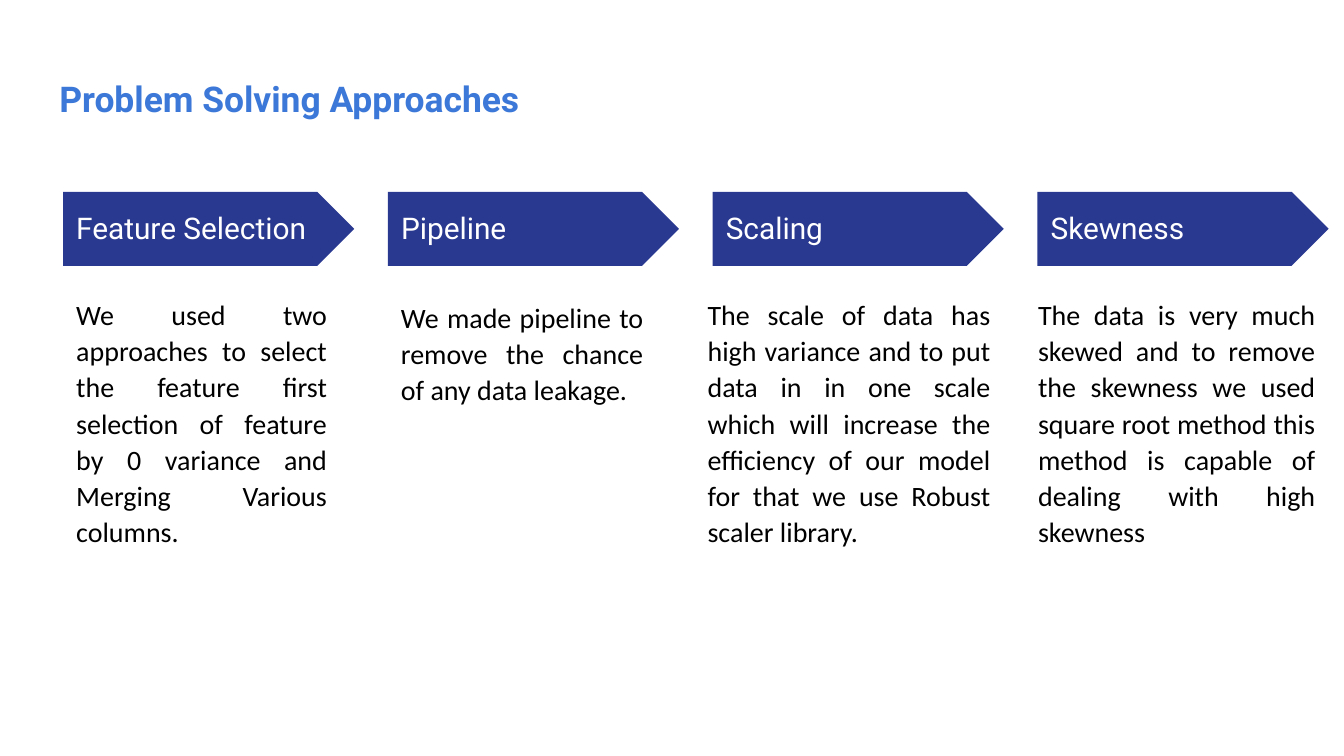
from pptx import Presentation
from pptx.dml.color import RGBColor as RGB
from pptx.enum.shapes import MSO_SHAPE as Shape
from pptx.enum.text import MSO_ANCHOR as Anchor, PP_ALIGN as Align
from pptx.util import Pt

PX = 9525  # 96 px to the inch
HUES = {"title": "3C78D8", "arrow": "2A3990", "label": "FFFFFF", "body": "000000"}

deck = Presentation()
deck.slide_width, deck.slide_height = 960 * PX, 540 * PX
slide = deck.slides.add_slide(deck.slide_layouts[6])


def add_text(text, box, size, face, hue, anchor=Anchor.TOP):
    frame = slide.shapes.add_textbox(*[n * PX for n in box]).text_frame
    frame.word_wrap = True
    frame.vertical_anchor = anchor
    frame.margin_left = frame.margin_right = Pt(7.2)
    frame.margin_top = frame.margin_bottom = Pt(7.2)
    para = frame.paragraphs[0]
    para.text = text
    para.font.size = Pt(size)
    para.font.name = face
    para.font.color.rgb = RGB.from_string(HUES[hue])
    return para


# Title
title = add_text("Problem Solving Approaches", (33, 43, 895, 63), 19, "Roboto", "title")
title.font.bold = True
title.alignment = Align.JUSTIFY
title.line_spacing = 1.08

# Columns: label, body text, body left, top and width
steps = [
    ("Feature Selection",
     "We used two approaches to select the feature first selection of feature "
     "by 0 variance and Merging Various columns.", 45, 201, 198),
    ("Pipeline",
     "We made pipeline to remove the chance of any data leakage.", 277, 203, 192),
    ("Scaling",
     "The scale of data has high variance and to put data in in one scale which "
     "will increase the efficiency of our model for that we use Robust scaler "
     "library.", 496, 201, 221),
    ("Skewness",
     "The data is very much skewed and to remove the skewness we used square root "
     "method this method is capable of dealing with high skewness", 732, 201, 217),
]
for i, (label, text, left, top, width) in enumerate(steps):
    x = 45 + 232 * i

    # Arrow
    arrow = slide.shapes.add_shape(Shape.PENTAGON, x * PX, 137 * PX, 208 * PX, 53 * PX)
    arrow.shadow.inherit = False
    arrow.fill.solid()
    arrow.fill.fore_color.rgb = RGB.from_string(HUES["arrow"])
    arrow.line.fill.background()

    # Label and body
    add_text(label, (x, 146, 237, 33), 16, "Roboto", "label", Anchor.MIDDLE)
    body = add_text(text, (left, top, width, 278), 15, "Calibri", "body")
    body.alignment = Align.JUSTIFY
    body.line_spacing = 1.08

deck.save("out.pptx")
